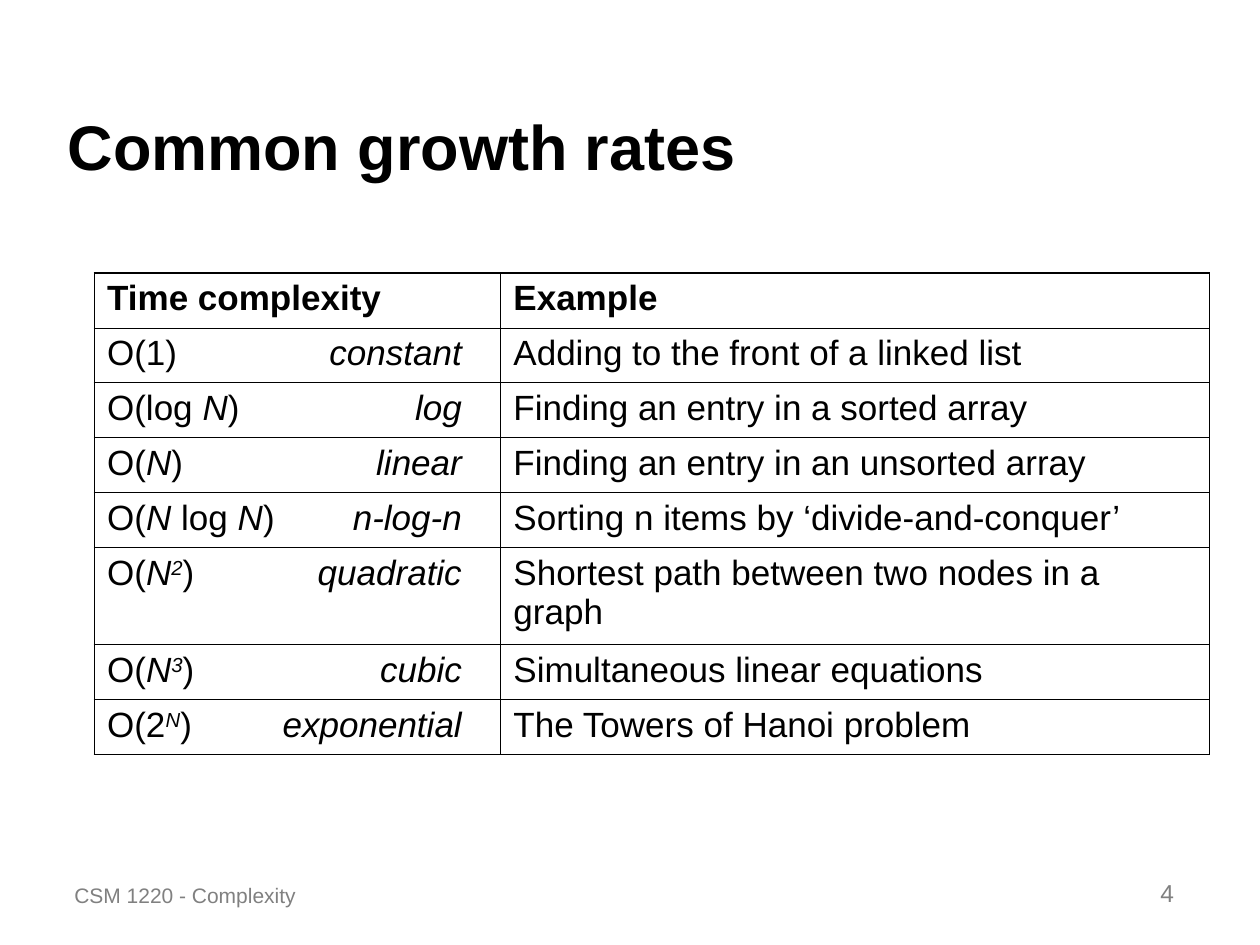
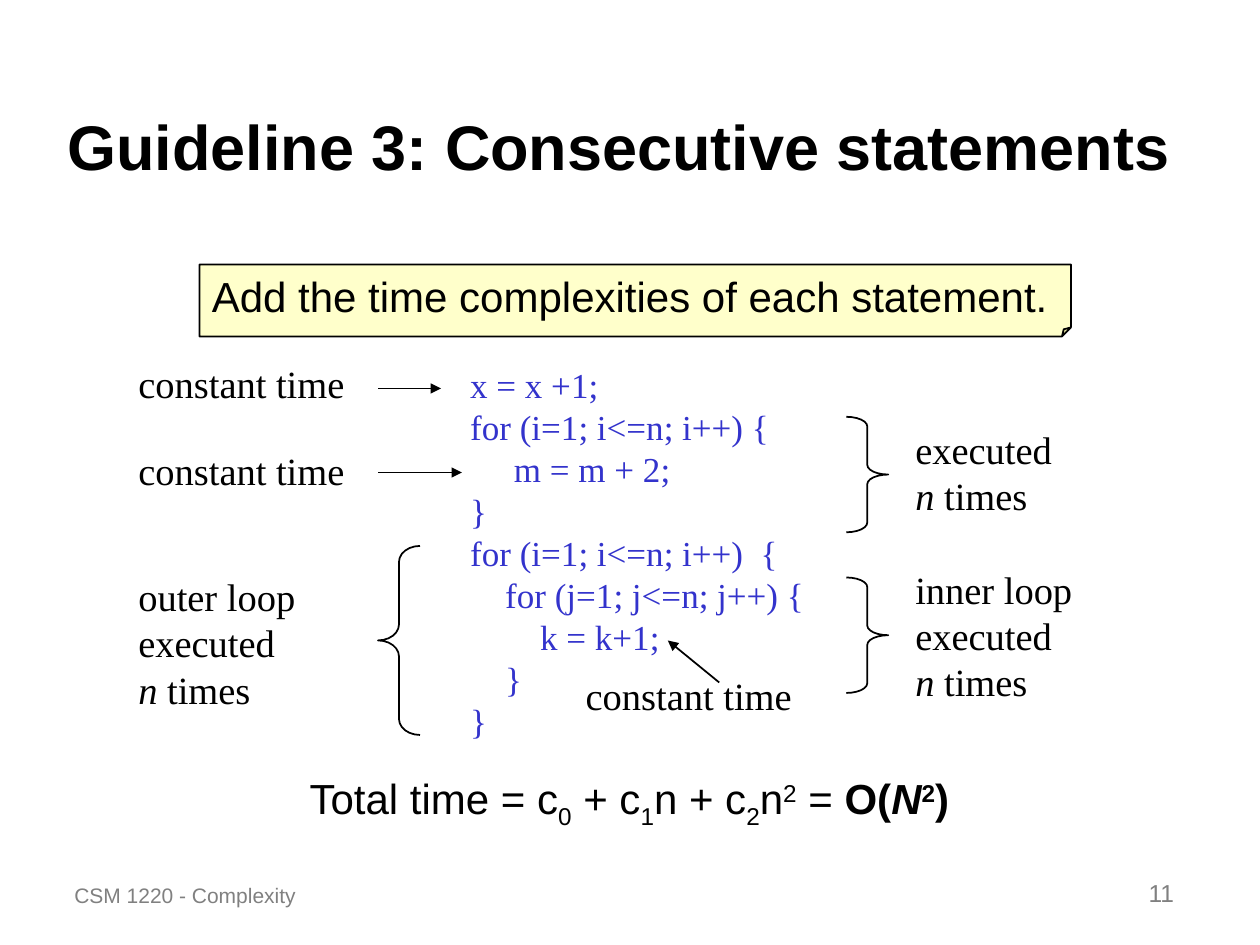
from dataclasses import dataclass
from typing import Any

from lxml.etree import SubElement as Sub
from pptx import Presentation
from pptx.dml.color import RGBColor
from pptx.enum.shapes import MSO_CONNECTOR as Wire, MSO_SHAPE as Kind
from pptx.enum.text import MSO_ANCHOR as Anchor, MSO_AUTO_SIZE as Auto, PP_ALIGN as Align
from pptx.oxml.ns import qn
from pptx.util import Emu, Inches, Pt

BLACK = RGBColor(0x00, 0x00, 0x00)
GREY = RGBColor(0x80, 0x80, 0x80)
BLUE = RGBColor(0x33, 0x33, 0xCC)
YELLOW = RGBColor(0xFF, 0xFF, 0x99)
WIDE, HIGH = Inches(10), Inches(7.5)
COLS, ROWS = 120, 90
SANS, SERIF = "Arial", "Times New Roman"
MARKS = {"*": "bold", "_": "italic", "^": "30000", "~": "-25000"}
TAB = 33.8
OUTER, INNER = Pt(1.08), Pt(0.45)


@dataclass(frozen=True)
class Box:
    col: float
    row: float
    wide: float
    high: float

    def place(self) -> tuple[Emu, Emu, Emu, Emu]:
        return across(self.col), down(self.row), across(self.wide), down(self.high)


@dataclass(frozen=True)
class Type:
    size: float
    face: str = SANS
    color: RGBColor = BLACK
    bold: bool = False


@dataclass(frozen=True)
class Label:
    box: Box
    lines: tuple[str, ...]


@dataclass(frozen=True)
class Brace:
    kind: Any
    box: Box
    curve: int


@dataclass(frozen=True)
class Arrow:
    start: tuple[float, float]
    end: tuple[float, float]


HEAD = Type(36, bold=True)
FOOT = Type(12, color=GREY)
PAGE = Type(14, color=GREY)
CELL = Type(20)
CAPS = Type(20, bold=True)
BODY = Type(24)
CODE = Type(20, SERIF, BLUE)
NOTE = Type(22, SERIF)
FREE = {"word_wrap": False, "auto_size": Auto.SHAPE_TO_FIT_TEXT}

RATES = (
    ("Time complexity", "Example"),
    ("O(1)\t_constant_", "Adding to the front of a linked list"),
    ("O(log _N_)\t_log_", "Finding an entry in a sorted array"),
    ("O(_N_)\t_linear_", "Finding an entry in an unsorted array"),
    ("O(_N_ log _N_)\t_n-log-n_", "Sorting n items by ‘divide-and-conquer’"),
    ("O(_N^2^_)\t_quadratic_", "Shortest path between two nodes in a graph"),
    ("O(_N^3^_)\t_cubic_", "Simultaneous linear equations"),
    ("O(2_^N^_)\t_exponential_", "The Towers of Hanoi problem"),
)
STEPS = (
    ("x = x +1;", 0),
    ("for (i=1; i<=n; i++) {", 0),
    ("m = m + 2;", 25),
    ("}", 0),
    ("for (i=1; i<=n; i++)  {", 0),
    ("for (j=1; j<=n; j++) {", 20),
    ("k = k+1;", 40),
    ("}", 20),
    ("}", 0),
)
LABELS = (
    Label(Box(86, 53.3, 17.3, 14.4), ("inner loop", "executed", "_n_ times")),
    Label(Box(12, 54, 17.3, 14.4), ("outer loop", "executed", "_n_ times")),
    Label(Box(86, 40, 15.4, 10.1), ("executed", "_n_ times")),
    Label(Box(54.6, 63.4, 22, 5.6), ("constant time",)),
    Label(Box(12, 42, 22, 5.6), ("constant time",)),
    Label(Box(12, 33.7, 22, 5.6), ("constant time",)),
)
BRACES = (
    Brace(Kind.RIGHT_BRACE, Box(80.6, 55, 4, 11), 23000),
    Brace(Kind.RIGHT_BRACE, Box(80.6, 39.7, 4, 11), 23000),
    Brace(Kind.LEFT_BRACE, Box(36, 52, 4, 18), 38000),
)
ARROWS = (
    Arrow((68.5, 65), (63.6, 61)),
    Arrow((36, 45), (44, 45)),
    Arrow((36, 37), (42, 37)),
)


def across(cols: float) -> Emu:
    return Emu(round(WIDE * cols / COLS))


def down(rows: float) -> Emu:
    return Emu(round(HIGH * rows / ROWS))


def apply(item: Any, vals: dict[str, Any]) -> None:
    for name, val in vals.items():
        setattr(item, name, val)


def split(text: str) -> list[tuple[str, frozenset[str]]]:
    parts, live, part = [], frozenset(), ""
    for char in text:
        if char in MARKS:
            if part:
                parts.append((part, live))
            live, part = live ^ {char}, ""
        else:
            part += char
    return parts + [(part, live)] if part else parts


def write(para: Any, text: str, kind: Type) -> None:
    for part, live in split(text):
        run = para.add_run()
        run.text = part
        apply(run.font, {"name": kind.face, "size": Pt(kind.size),
                         "bold": kind.bold or "*" in live, "italic": "_" in live})
        run.font.color.rgb = kind.color
        for mark in live & {"^", "~"}:
            run._r.get_or_add_rPr().set("baseline", MARKS[mark])


def fill_text(frame: Any, lines: tuple[str, ...], kind: Type, **vals: Any) -> None:
    apply(frame, {"word_wrap": True, **vals})
    for num, line in enumerate(lines):
        para = frame.add_paragraph() if num else frame.paragraphs[0]
        para.alignment = Align.LEFT
        write(para, line, kind)


def add_text(slide: Any, box: Box, lines: tuple[str, ...], kind: Type, **vals: Any) -> Any:
    frame = slide.shapes.add_textbox(*box.place()).text_frame
    fill_text(frame, lines, kind, **vals)
    return frame


def start(deck: Any, title: str, page: int) -> Any:
    slide = deck.slides.add_slide(deck.slide_layouts[6])
    low = {"vertical_anchor": Anchor.BOTTOM}
    add_text(slide, Box(5.25, 3, 108.75, 15), (title,), HEAD, **low)
    add_text(slide, Box(5.9, 81, 36, 6), ("CSM 1220 - Complexity",), FOOT, **low)
    frame = add_text(slide, Box(88, 81, 25, 6), (str(page),), PAGE, **low)
    frame.paragraphs[0].alignment = Align.RIGHT
    return slide


def edge(cell: Any, sides: dict[str, bool]) -> None:
    props = cell._tc.get_or_add_tcPr()
    for side, rim in sides.items():
        line = Sub(props, qn(f"a:ln{side}"), w=str(OUTER if rim else INNER))
        Sub(Sub(line, qn("a:solidFill")), qn("a:srgbClr"), val=str(BLACK))
    cell.fill.background()


def add_rates(slide: Any) -> None:
    last, end = len(RATES) - 1, len(RATES[0]) - 1
    place = Box(9, 26, 106.2, 45.5).place()
    table = slide.shapes.add_table(last + 1, end + 1, *place).table
    apply(table, {"first_row": False, "horz_banding": False})
    for col, wide in zip(table.columns, (38.7, 67.5)):
        col.width = across(wide)
    for row, cells in enumerate(RATES):
        table.rows[row].height = down(9.25 if row == 5 else 5.23)
        for col, text in enumerate(cells):
            cell = table.cell(row, col)
            fill_text(cell.text_frame, (text,), CELL if row else CAPS)
            if "\t" in text:
                props = cell.text_frame.paragraphs[0]._p.get_or_add_pPr()
                Sub(Sub(props, qn("a:tabLst")), qn("a:tab"),
                    pos=str(across(TAB)), algn="r")
            edge(cell, {"L": col == 0, "R": col == end, "T": row == 0, "B": row == last})


def outline(item: Any) -> None:
    item.line.color.rgb = BLACK
    item.line.width = Pt(1)


def add_form(slide: Any, kind: Any, box: Box, name: str, bend: int) -> Any:
    shape = slide.shapes.add_shape(kind, *box.place())
    shape.shadow.inherit = False
    guides = next(shape._element.spPr.iter(qn("a:avLst")))
    Sub(guides, qn("a:gd"), name=name, fmla=f"val {bend}")
    shape.fill.background()
    outline(shape)
    return shape


def add_rule(slide: Any) -> None:
    note = add_form(slide, Kind.FOLDED_CORNER, Box(19, 25.2, 83, 6.85), "adj", 12500)
    note.fill.solid()
    note.fill.fore_color.rgb = YELLOW
    tint = note._element.spPr.find(qn("a:solidFill"))
    Sub(tint.find(qn("a:srgbClr")), qn("a:alpha"), val="50000")
    fill_text(note.text_frame, ("Add the time complexities of each statement.",), BODY,
              vertical_anchor=Anchor.MIDDLE)


def add_code(slide: Any) -> None:
    lines = tuple(line for line, _ in STEPS)
    frame = add_text(slide, Box(43.6, 34, 34.2, 37.2), lines, CODE, **FREE)
    for para, (_, shift) in zip(frame.paragraphs, STEPS):
        para._p.get_or_add_pPr().set("marL", str(Pt(shift)))


def add_arrow(slide: Any, arrow: Arrow) -> None:
    ends = [make(val) for spot in (arrow.start, arrow.end)
            for make, val in zip((across, down), spot)]
    wire = slide.shapes.add_connector(Wire.STRAIGHT, *ends)
    outline(wire)
    props = wire._element.spPr
    Sub(props.find(qn("a:ln")), qn("a:tailEnd"), type="triangle")
    Sub(props, qn("a:effectLst"))


def main() -> None:
    deck = Presentation()
    apply(deck, {"slide_width": WIDE, "slide_height": HIGH})

    add_rates(start(deck, "Common growth rates", 4))

    slide = start(deck, "Guideline 3: Consecutive statements", 11)
    add_rule(slide)
    total = "Total time = c~0~ + c~1~n + c~2~n^2^ = *O(_N_^2^)*"
    add_text(slide, Box(28.3, 73, 63.7, 6.7), (total,), BODY, **FREE)
    add_code(slide)
    for label in LABELS:
        add_text(slide, label.box, label.lines, NOTE, **FREE)
    for brace in BRACES:
        add_form(slide, brace.kind, brace.box, "adj1", brace.curve)
    for arrow in ARROWS:
        add_arrow(slide, arrow)

    deck.save("out.pptx")


if __name__ == "__main__":
    main()
